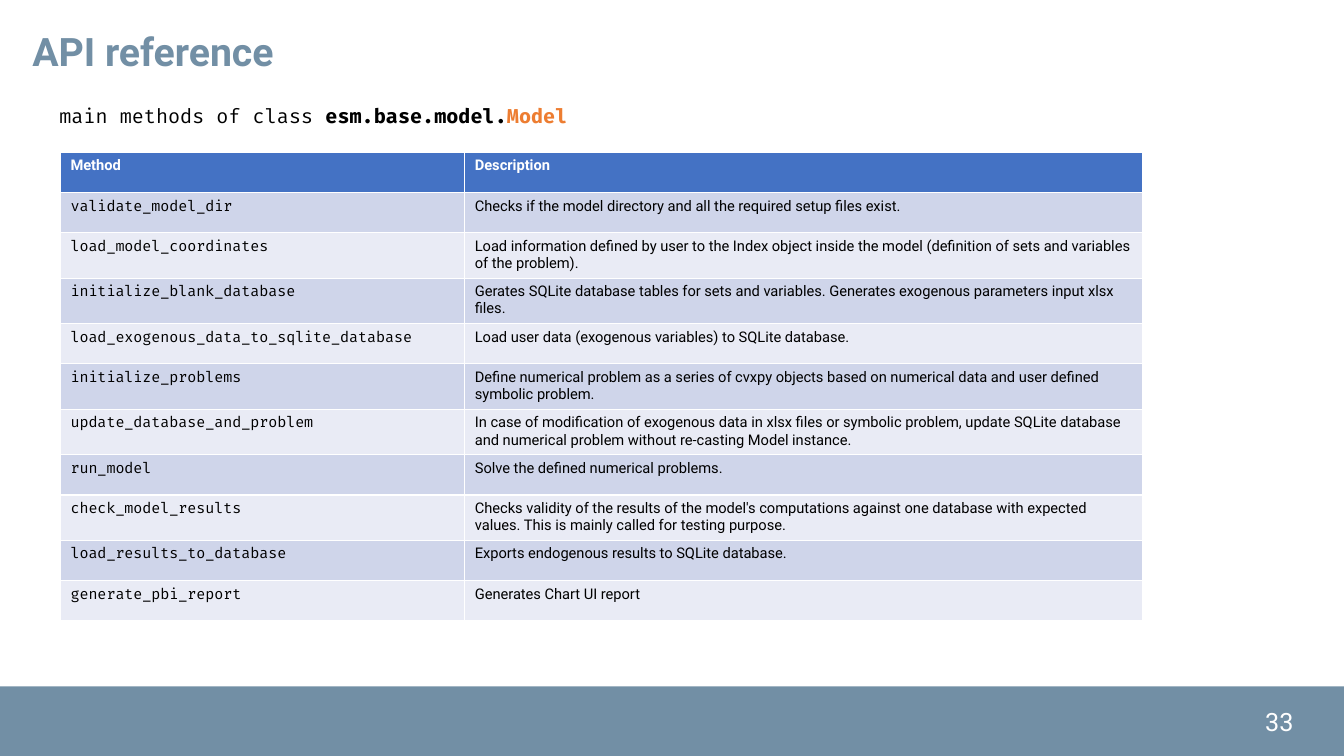
"""Build the API reference slide with its table of model methods."""
from pptx import Presentation
from pptx.dml.color import RGBColor
from pptx.enum.shapes import MSO_SHAPE
from pptx.enum.text import MSO_ANCHOR, MSO_AUTO_SIZE, PP_ALIGN
from pptx.util import Inches, Pt

RECT = MSO_SHAPE.RECTANGLE
TOP, MIDDLE = MSO_ANCHOR.TOP, MSO_ANCHOR.MIDDLE
LEFT = PP_ALIGN.LEFT
FIXED = MSO_AUTO_SIZE.NONE

SLATE = RGBColor(0x72, 0x8F, 0xA5)
BLUE = RGBColor(0x44, 0x72, 0xC4)
ORANGE = RGBColor(0xED, 0x7D, 0x31)
BANDS = RGBColor(0xCF, 0xD5, 0xEA), RGBColor(0xE9, 0xEB, 0xF5)
WHITE = RGBColor(0xFF, 0xFF, 0xFF)
BLACK = RGBColor(0, 0, 0)

SANS, MONO = "Roboto", "Fira Code"
WIDTHS = 4.01, 6.72
ROW = 0.4

METHODS = [
    ("validate_model_dir",
     "Checks if the model directory and all the required setup files exist."),
    ("load_model_coordinates",
     "Load information defined by user to the Index object inside the model "
     "(definition of sets and variables of the problem)."),
    ("initialize_blank_database",
     "Gerates SQLite database tables for sets and variables. "
     "Generates exogenous parameters input xlsx files."),
    ("load_exogenous_data_to_sqlite_database",
     "Load user data (exogenous variables) to SQLite database."),
    ("initialize_problems",
     "Define numerical problem as a series of cvxpy objects based on "
     "numerical data and user defined symbolic problem."),
    ("update_database_and_problem",
     "In case of modification of exogenous data in xlsx files or symbolic "
     "problem, update SQLite database and numerical problem without "
     "re-casting Model instance."),
    ("run_model", "Solve the defined numerical problems."),
    ("check_model_results",
     "Checks validity of the results of the model's computations against one "
     "database with expected values. This is mainly called for testing purpose."),
    ("load_results_to_database",
     "Exports endogenous results to SQLite database."),
    ("generate_pbi_report", "Generates Chart UI report"),
]


def style(font, size, name, color, bold=False):
    """Set the look of a font."""
    font.size, font.name, font.bold = Pt(size), name, bold
    font.color.rgb = color


def add_title(slide, text):
    """Fill and place the title placeholder."""
    title = slide.shapes.title
    title.left, title.top = Inches(0.22), Inches(0.22)
    title.width, title.height = Inches(4.06), Inches(0.57)
    frame = title.text_frame
    frame.text = text
    frame.auto_size, frame.vertical_anchor = FIXED, TOP
    para = frame.paragraphs[0]
    para.alignment = LEFT
    style(para.font, 28, SANS, SLATE, True)


def add_text(slide, left, top, width, height, anchor):
    """Add a wrapped text box and return its paragraph."""
    box = slide.shapes.add_textbox(
        Inches(left), Inches(top), Inches(width), Inches(height))
    frame = box.text_frame
    frame.word_wrap, frame.vertical_anchor = True, anchor
    return frame.paragraphs[0]


def add_lead(slide):
    """Add the line that names the class."""
    para = add_text(slide, 0.49, 0.96, 6.1, 0.38, MIDDLE)
    for text, color, bold in (("main methods of class", BLACK, False),
                              (" esm.base.model.", BLACK, True),
                              ("Model", ORANGE, True)):
        run = para.add_run()
        run.text = text
        style(run.font, 14, MONO, color, bold)


def add_footer(slide, number):
    """Add the bottom band with the page number."""
    band = slide.shapes.add_shape(
        RECT, 0, Inches(6.81), Inches(13.33), Inches(0.7))
    band.shadow.inherit = False
    band.fill.solid()
    band.fill.fore_color.rgb = SLATE
    band.line.fill.background()
    para = add_text(slide, 12.45, 6.96, 0.65, 0.4, TOP)
    para.text = number
    style(para.font, 18, SANS, WHITE)


def fill_cell(cell, text, back, name, color, bold):
    """Write and colour one table cell."""
    cell.text = text
    cell.fill.solid()
    cell.fill.fore_color.rgb = back
    style(cell.text_frame.paragraphs[0].font, 10.5, name, color, bold)


def add_methods(slide):
    """Add the banded table of methods."""
    count = len(METHODS) + 1
    table = slide.shapes.add_table(
        count, 2, Inches(0.6), Inches(1.51),
        Inches(sum(WIDTHS)), Inches(ROW * count)).table
    for col, width in zip(table.columns, WIDTHS):
        col.width = Inches(width)
    for col, head in enumerate(("Method", "Description")):
        fill_cell(table.cell(0, col), head, BLUE, SANS, WHITE, True)
    for row, pair in enumerate(METHODS, 1):
        back = BANDS[(row - 1) % 2]
        for col, (text, name) in enumerate(zip(pair, (MONO, SANS))):
            fill_cell(table.cell(row, col), text, back, name, BLACK, False)


def main():
    """Build and save the slide."""
    deck = Presentation()
    deck.slide_width, deck.slide_height = Inches(13.33), Inches(7.5)
    slide = deck.slides.add_slide(deck.slide_layouts[5])
    add_footer(slide, "33")
    add_title(slide, "API reference")
    add_lead(slide)
    add_methods(slide)
    deck.save("out.pptx")


if __name__ == "__main__":
    main()
